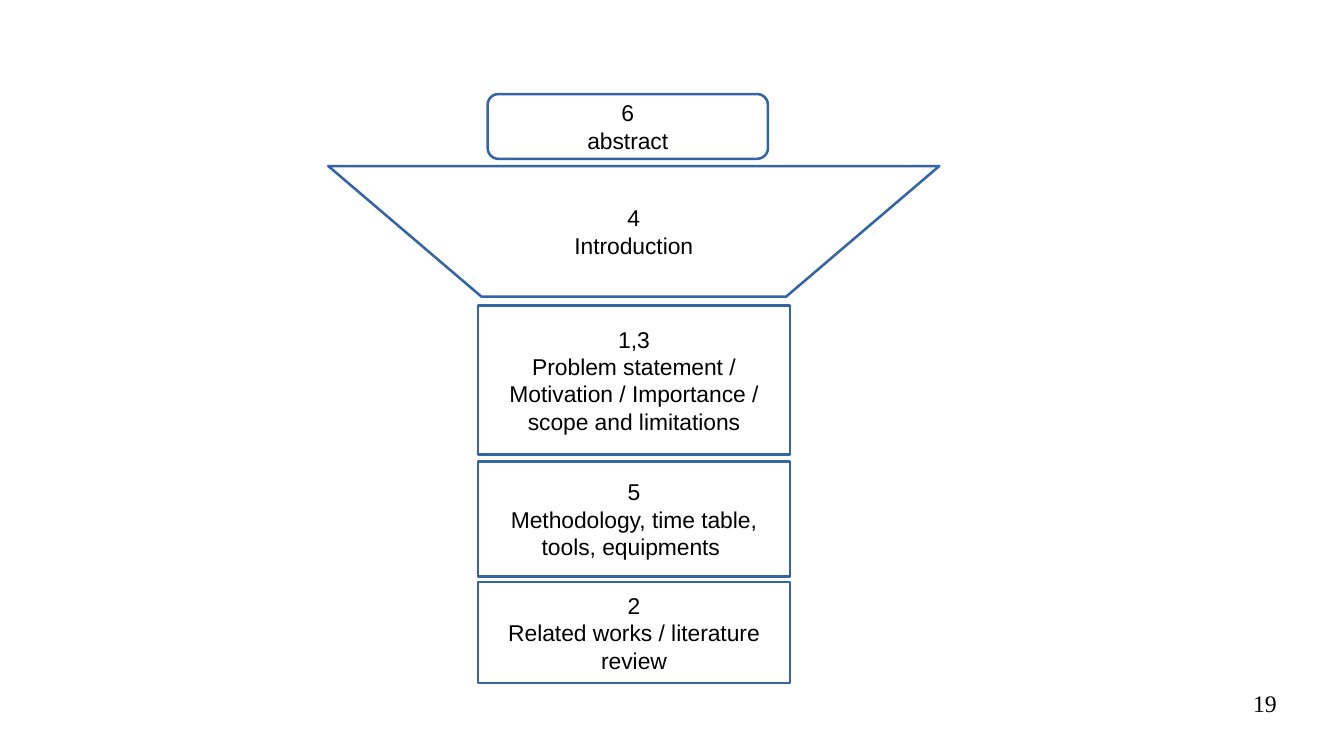
from pptx import Presentation
from pptx.dml.color import RGBColor
from pptx.enum.shapes import MSO_SHAPE
from pptx.enum.text import MSO_ANCHOR, PP_ALIGN
from pptx.util import Cm, Pt

COLORS = {"fill": "FFFFFF", "line": "3465A4", "text": "000000"}


def add_line(para, text, font, size, align):
    """Put one styled run into a paragraph."""
    para.alignment = align
    run = para.add_run()
    run.text = text
    run.font.name = font
    run.font.size = Pt(size)
    run.font.color.rgb = RGBColor.from_string(COLORS["text"])


def dress(shape, number, label):
    """Style a block and write its number above its label."""
    shape.shadow.inherit = False
    shape.fill.solid()
    shape.fill.fore_color.rgb = RGBColor.from_string(COLORS["fill"])
    shape.line.color.rgb = RGBColor.from_string(COLORS["line"])
    shape.line.width = Pt(1.5)
    frame = shape.text_frame
    frame.word_wrap = True
    frame.vertical_anchor = MSO_ANCHOR.MIDDLE
    frame.margin_left = frame.margin_right = Cm(0.28)
    frame.margin_top = frame.margin_bottom = Cm(0.15)
    add_line(frame.paragraphs[0], number, "Arial", 13.5, PP_ALIGN.CENTER)
    add_line(frame.add_paragraph(), label, "Arial", 13.5, PP_ALIGN.CENTER)


deck = Presentation()
deck.slide_width, deck.slide_height = Cm(28), Cm(15.75)
slide = deck.slides.add_slide(deck.slide_layouts[6])
shapes = slide.shapes

# Funnel
pen = shapes.build_freeform(Cm(6.84), Cm(3.46))
corners = [(19.57, 3.46), (16.38, 6.18), (10.03, 6.18)]
pen.add_line_segments([(Cm(x), Cm(y)) for x, y in corners], close=True)
dress(pen.convert_to_shape(), "4", "Introduction")

# Cap above the funnel
cap = shapes.add_shape(
    MSO_SHAPE.ROUNDED_RECTANGLE, Cm(10.16), Cm(1.96), Cm(5.84), Cm(1.35))
dress(cap, "6", "abstract")

# Stem below the funnel
blocks = [
    (6.37, 3.1, "1,3",
     "Problem statement / Motivation / Importance / scope and limitations"),
    (9.62, 2.39, "5", "Methodology, time table, tools, equipments "),
    (12.13, 2.1, "2", "Related works / literature review"),
]
for top, height, number, label in blocks:
    block = shapes.add_shape(
        MSO_SHAPE.RECTANGLE, Cm(9.96), Cm(top), Cm(6.5), Cm(height))
    dress(block, number, label)

# Page number
page = shapes.add_textbox(Cm(20.07), Cm(14.35), Cm(6.53), Cm(1.09)).text_frame
page.word_wrap = True
page.margin_left = page.margin_right = page.margin_top = page.margin_bottom = 0
add_line(page.paragraphs[0], "19", "Times New Roman", 14, PP_ALIGN.RIGHT)

deck.save("out.pptx")
